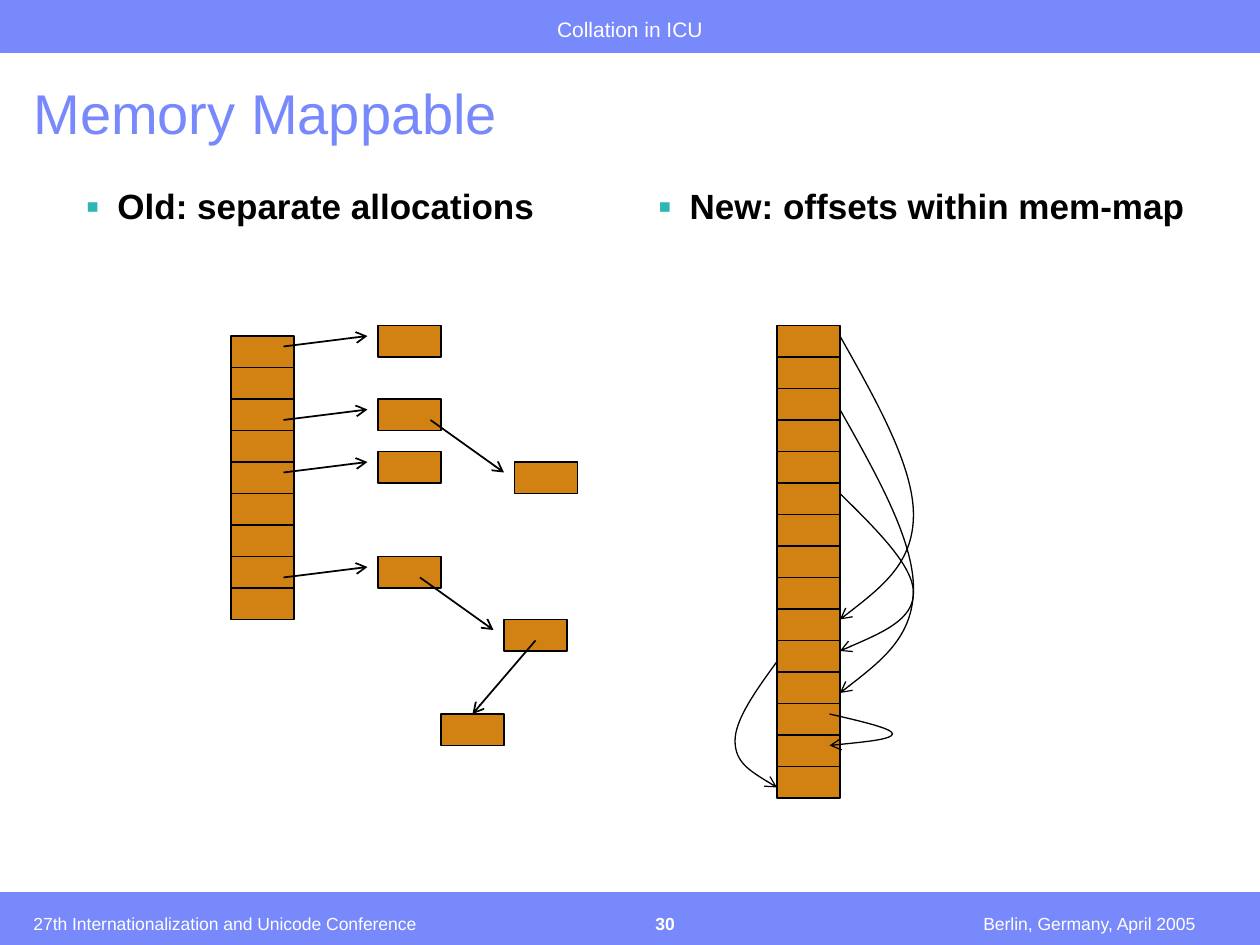
from lxml import etree
from pptx import Presentation
from pptx.dml.color import RGBColor
from pptx.enum.shapes import MSO_CONNECTOR, MSO_SHAPE
from pptx.enum.text import MSO_ANCHOR, PP_ALIGN
from pptx.oxml.ns import qn
from pptx.util import Inches, Pt

RECTANGLE = MSO_SHAPE.RECTANGLE
STRAIGHT = MSO_CONNECTOR.STRAIGHT
TOP, BOTTOM = MSO_ANCHOR.TOP, MSO_ANCHOR.BOTTOM
LEFT, CENTER, RIGHT = PP_ALIGN.LEFT, PP_ALIGN.CENTER, PP_ALIGN.RIGHT

PERIWINKLE = RGBColor(0x78, 0x89, 0xFB)
ORANGE = RGBColor(0xD1, 0x82, 0x13)
BLACK = RGBColor(0, 0, 0)
WHITE = RGBColor(0xFF, 0xFF, 0xFF)
BULLET_TEAL = "2DB6B3"

# The slide is a grid of 120 columns by 90 rows
UNIT = Inches(1) // 12
COLUMNS, ROWS = 120, 90
BAR_ROWS = 5
CELL_COLUMNS, CELL_ROWS = 6, 3

# Bezier points of a loop, as shares of its bulge and its height
LOOP = [(0.5, 0.23), (1, 0.46), (1, 0.63), (1, 0.8), (0.5, 0.9), (0, 1)]

# Old layout: (column, row) of each block, then pointers between them
OLD_BLOCKS = [(36, 31), (36, 38), (36, 43), (36, 53), (48, 59), (49, 44)]
LAST_BLOCK = (42, 68)
TABLE_POINTER_ROWS = [33, 40, 45, 55]
BLOCK_POINTERS = [((40, 55), (47, 60)), ((41, 40), (48, 45))]

# New layout: start column, start row, end row, bulge
OFFSETS = [
    (80, 32, 59, 7),
    (80, 39, 66, 7),
    (80, 47, 62, 7),
    (74, 63, 75, -4),
    (79, 68, 71, 6),
]


def grid(*lengths):
    return [round(length * UNIT) for length in lengths]


def add_box(slide, column, row, columns, rows, fill, line, width):
    box = slide.shapes.add_shape(RECTANGLE, *grid(column, row, columns, rows))
    box.shadow.inherit = False
    box.fill.solid()
    box.fill.fore_color.rgb = fill
    box.line.color.rgb = line
    box.line.width = Pt(width)
    return box


def add_cell(slide, column, row):
    return add_box(slide, column, row, CELL_COLUMNS, CELL_ROWS,
                   ORANGE, BLACK, 0.75)


def add_stack(slide, column, row, count):
    for index in range(count):
        add_cell(slide, column, row + index * CELL_ROWS)


def add_bullet(paragraph):
    properties = paragraph._p.get_or_add_pPr()
    properties.set("marL", str(Inches(0.25)))
    properties.set("indent", str(-Inches(0.25)))
    color = etree.SubElement(properties, qn("a:buClr"))
    etree.SubElement(color, qn("a:srgbClr"), val=BULLET_TEAL)
    etree.SubElement(properties, qn("a:buSzPct"), val="110000")
    etree.SubElement(properties, qn("a:buFont"), typeface="Arial")
    etree.SubElement(properties, qn("a:buChar"), char="▪")


def add_text(slide, text, column, row, columns, rows, *, size, color=WHITE,
             bold=False, align=LEFT, anchor=TOP, spacing=None, bullet=False):
    frame = slide.shapes.add_textbox(
        *grid(column, row, columns, rows)).text_frame
    frame.word_wrap = True
    frame.vertical_anchor = anchor
    paragraph = frame.paragraphs[0]
    paragraph.text = text
    paragraph.alignment = align
    if spacing:
        paragraph.line_spacing = spacing
    if bullet:
        add_bullet(paragraph)
    font = paragraph.runs[0].font
    font.name = "Arial"
    font.size = Pt(size)
    font.bold = bold
    font.color.rgb = color


def style_arrow(arrow, width):
    arrow.line.color.rgb = BLACK
    arrow.line.width = Pt(width)
    outline = arrow._element.spPr.find(qn("a:ln"))
    etree.SubElement(outline, qn("a:tailEnd"), type="arrow")


def add_pointer(slide, start, end):
    pointer = slide.shapes.add_connector(STRAIGHT, *grid(*start, *end))
    style_arrow(pointer, 1)
    etree.SubElement(pointer._element.spPr, qn("a:effectLst"))
    return pointer


def add_offset_loop(slide, column, start_row, end_row, bulge):
    height = end_row - start_row
    builder = slide.shapes.build_freeform(*grid(column, start_row))
    builder.add_line_segments(
        [grid(column + x * bulge, start_row + y * height) for x, y in LOOP],
        close=False)
    loop = builder.convert_to_shape()
    loop.shadow.inherit = False
    loop.fill.background()
    style_arrow(loop, 0.75)
    # Turn each three line segments into one Bezier curve
    outline = next(loop._element.iter(qn("a:path")))
    segments = outline.findall(qn("a:lnTo"))
    for first in range(0, len(segments), 3):
        curve = etree.SubElement(outline, qn("a:cubicBezTo"))
        for segment in segments[first:first + 3]:
            curve.append(segment[0])
            outline.remove(segment)


def add_frame(slide):
    for row in (0, ROWS - BAR_ROWS):
        add_box(slide, 0, row, COLUMNS, BAR_ROWS, PERIWINKLE, PERIWINKLE, 0.25)
    add_text(slide, "Collation in ICU", 35, 1, 50, 3.25, size=12, align=CENTER)
    add_text(slide, "27th Internationalization and Unicode Conference",
             2, 85, 50, 4.5, size=10, anchor=BOTTOM)
    add_text(slide, "30", 56.75, 85.3, 13.2, 4.2, size=10, bold=True,
             align=CENTER, anchor=BOTTOM)
    add_text(slide, "Berlin, Germany, April 2005", 82, 85.3, 33, 4.2,
             size=10, align=RIGHT, anchor=BOTTOM)


def add_old_layout(slide):
    add_stack(slide, 22, 32, 9)
    for column, row in OLD_BLOCKS:
        add_cell(slide, column, row)
    last_block = add_cell(slide, *LAST_BLOCK)
    for row in TABLE_POINTER_ROWS:
        add_pointer(slide, (27, row), (35, row - 1))
    for start, end in BLOCK_POINTERS:
        add_pointer(slide, start, end)
    add_pointer(slide, (51, 61), (45, 68)).end_connect(last_block, 0)


def add_new_layout(slide):
    add_stack(slide, 74, 31, 15)
    for offset in OFFSETS:
        add_offset_loop(slide, *offset)


def main():
    deck = Presentation()
    deck.slide_width, deck.slide_height = grid(COLUMNS, ROWS)
    slide = deck.slides.add_slide(deck.slide_layouts[6])

    # Header, footer and title
    add_frame(slide)
    add_text(slide, "Memory Mappable", 2, 8, 108.25, 6.6, size=32,
             color=PERIWINKLE, anchor=BOTTOM, spacing=0.9)

    # Column headings
    for heading, column in (("Old: separate allocations", 7),
                            ("New: offsets within mem-map", 61.5)):
        add_text(slide, heading, column, 17, 52.5, 63, size=20, color=BLACK,
                 bold=True, bullet=True)

    # Memory diagrams
    add_old_layout(slide)
    add_new_layout(slide)
    deck.save("out.pptx")


if __name__ == "__main__":
    main()
